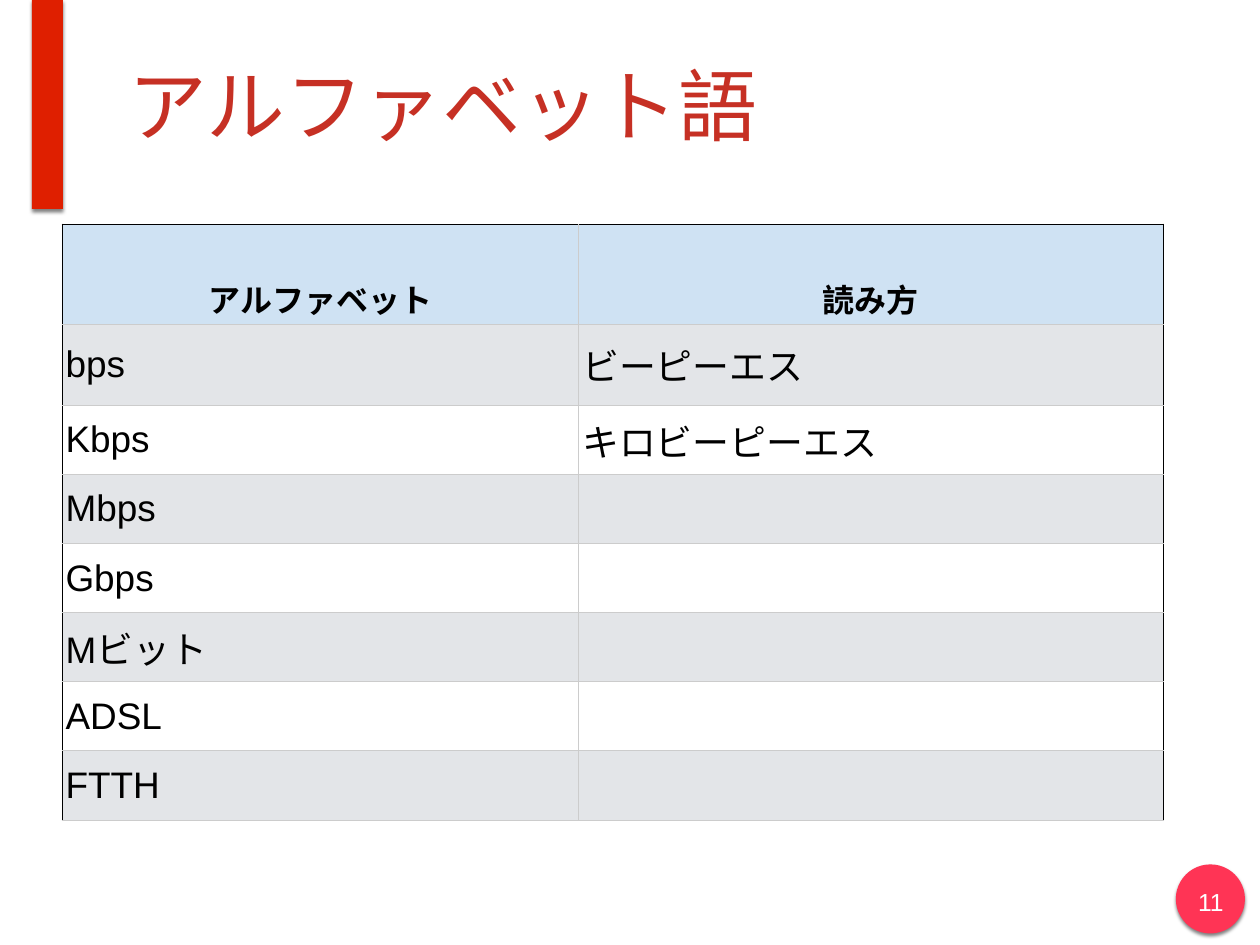
from lxml import etree
from pptx import Presentation
from pptx import util as u
from pptx.dml.color import RGBColor
from pptx.enum import shapes, text
from pptx.oxml import parse_xml
from pptx.oxml.ns import nsdecls, qn

PX = 9144  # 100 px to the inch
FONT = "Arial"

BLACK = RGBColor(0x00, 0x00, 0x00)
WHITE = RGBColor(0xFF, 0xFF, 0xFF)
TITLE_RED = RGBColor(0xC6, 0x30, 0x24)
BAR_RED = RGBColor(0xDF, 0x1F, 0x00)
BADGE_PINK = RGBColor(0xFF, 0x34, 0x55)
HEADER_BLUE = RGBColor(0xCF, 0xE2, 0xF3)
BAND_GREY = RGBColor(0xE3, 0xE5, 0xE8)
GRID_GREY = RGBColor(0xCC, 0xCC, 0xCC)

COLUMN_WIDTHS = [583, 660]
ROW_HEIGHTS = [113, 92] + [78] * 6
TERMS = [
    ("アルファベット", "読み方"),
    ("bps", "ビーピーエス"),
    ("Kbps", "キロビーピーエス"),
    ("Mbps", ""),
    ("Gbps", ""),
    ("Mビット", ""),
    ("ADSL", ""),
    ("FTTH", ""),
]


def px(*lengths):
    return [u.Emu(length * PX) for length in lengths]


def add_run(p, words, size, color, bold=False):
    r = p.add_run()
    r.text = words
    r.font.name = FONT
    r.font.size = u.Pt(size)
    r.font.bold = bold
    r.font.color.rgb = color


def set_insets(tf):
    tf.margin_left, tf.margin_top, tf.margin_right, tf.margin_bottom = px(6, 6, 6, 6)


def add_shadowed_shape(s, kind, box, color):
    sp = s.shapes.add_shape(kind, *px(*box))
    sp.fill.solid()
    sp.fill.fore_color.rgb = color
    sp.line.fill.background()
    sp.shadow.inherit = False
    effects = sp._element.spPr.find(qn("a:effectLst"))
    effects.append(parse_xml(
        f'<a:outerShdw {nsdecls("a")} blurRad="{u.Pt(3)}" dist="{u.Pt(2)}" '
        'dir="5400000" rotWithShape="0"><a:srgbClr val="000000">'
        '<a:alpha val="49000"/></a:srgbClr></a:outerShdw>'))


def add_title(s, words):
    title = s.shapes.title
    title.left, title.top, title.width, title.height = px(139, 12, 1214, 212)
    tf = title.text_frame
    set_insets(tf)
    tf.vertical_anchor = text.MSO_ANCHOR.MIDDLE
    p = tf.paragraphs[0]
    p.alignment = text.PP_ALIGN.LEFT
    add_run(p, words, 64, TITLE_RED)


def add_page_number(s, number):
    tf = s.shapes.add_textbox(*px(1342, 995, 49, 45)).text_frame
    tf.word_wrap = True
    set_insets(tf)
    p = tf.paragraphs[0]
    p.alignment = text.PP_ALIGN.CENTER
    add_run(p, number, 20, WHITE)


def set_borders(cell, **colors):
    """Draw 1 pt borders; the keys L, R, T, B must come in that order."""
    tc_pr = cell._tc.get_or_add_tcPr()
    for side, color in colors.items():
        ln = etree.SubElement(tc_pr, qn(f"a:ln{side}"), w=str(u.Pt(1)))
        fill = etree.SubElement(ln, qn("a:solidFill"))
        etree.SubElement(fill, qn("a:srgbClr"), val=str(color))


def fill_cell(cell, words, row, column):
    header = row == 0
    set_borders(
        cell,
        L=BLACK if column == 0 else GRID_GREY,
        R=BLACK if column == len(COLUMN_WIDTHS) - 1 else GRID_GREY,
        T=BLACK if header else GRID_GREY,
        B=GRID_GREY,
    )
    cell.fill.solid()
    cell.fill.fore_color.rgb = (
        HEADER_BLUE if header else BAND_GREY if row % 2 else WHITE)
    cell.margin_left, cell.margin_top, cell.margin_right, cell.margin_bottom = px(4, 3, 4, 3)
    cell.vertical_anchor = text.MSO_ANCHOR.MIDDLE
    if not words:
        return
    p = cell.text_frame.paragraphs[0]
    if header:
        p.alignment = text.PP_ALIGN.CENTER
        p.line_spacing = 2.05
    add_run(p, words, 26 if header else 30, BLACK, bold=header)


def add_terms_table(s):
    frame = s.shapes.add_table(
        len(TERMS), len(COLUMN_WIDTHS),
        *px(70, 253, sum(COLUMN_WIDTHS), sum(ROW_HEIGHTS)))
    table = frame.table
    table.first_row = table.horz_banding = False
    for column, width in zip(table.columns, px(*COLUMN_WIDTHS)):
        column.width = width
    for row, height in zip(table.rows, px(*ROW_HEIGHTS)):
        row.height = height
    for i, term in enumerate(TERMS):
        for j, words in enumerate(term):
            fill_cell(table.cell(i, j), words, i, j)


def main():
    prs = Presentation()
    prs.slide_width, prs.slide_height = px(1422, 1067)
    s = prs.slides.add_slide(prs.slide_layouts.get_by_name("Title Only"))
    add_shadowed_shape(s, shapes.MSO_SHAPE.OVAL, (1327, 976, 78, 78), BADGE_PINK)
    add_shadowed_shape(s, shapes.MSO_SHAPE.RECTANGLE, (36, 0, 35, 236), BAR_RED)
    add_page_number(s, "11")
    add_title(s, "アルファベット語")
    add_terms_table(s)
    prs.save("out.pptx")


if __name__ == "__main__":
    main()
